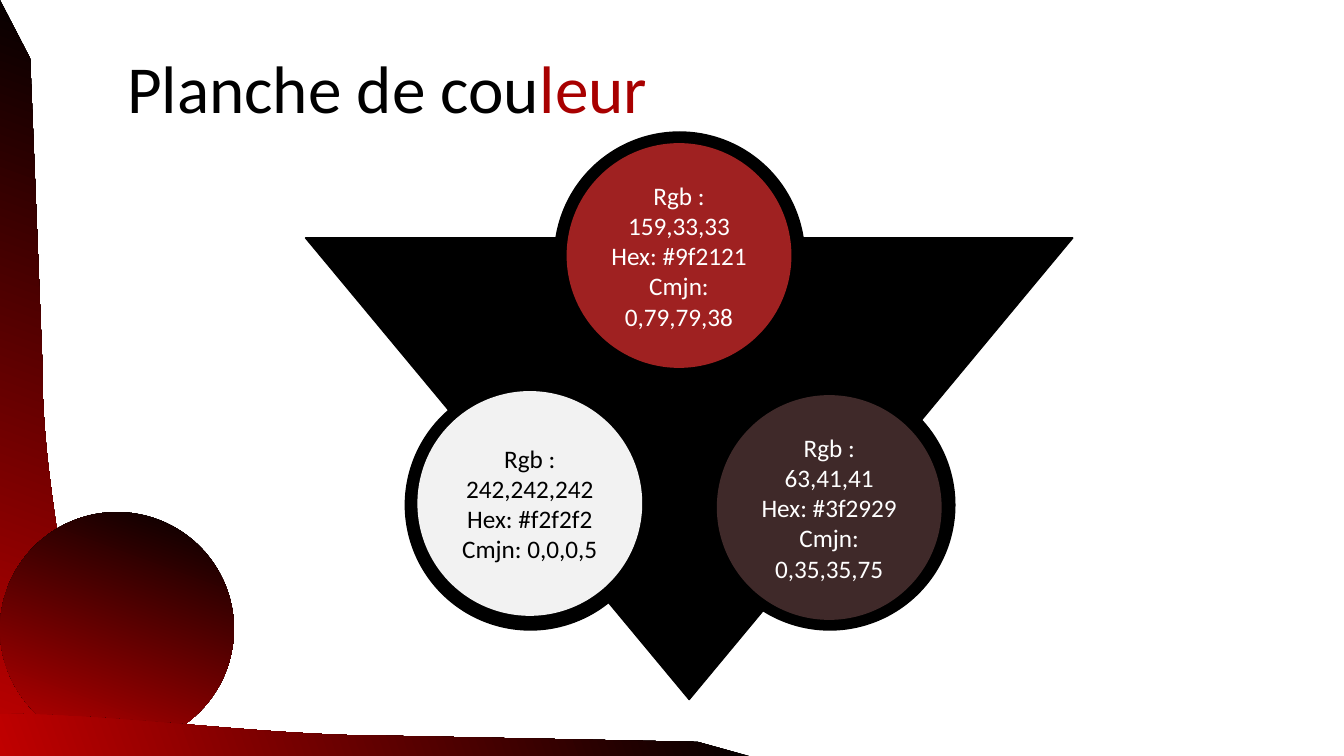
from pptx import Presentation
from pptx.dml.color import RGBColor
from pptx.enum.shapes import MSO_SHAPE
from pptx.enum.text import MSO_ANCHOR, MSO_AUTO_SIZE, PP_ALIGN
from pptx.util import Inches, Pt


def color(hex_value):
    return RGBColor.from_string(hex_value)


def curve(start, control_1, control_2, end, steps=24):
    """Points of a cubic curve, without its start."""
    points = []
    for step in range(1, steps + 1):
        t = step / steps
        weights = ((1 - t) ** 3, 3 * t * (1 - t) ** 2, 3 * t * t * (1 - t), t ** 3)
        corners = (start, control_1, control_2, end)
        points.append(tuple(sum(w * c[axis] for w, c in zip(weights, corners))
                            for axis in (0, 1)))
    return points


class Board:
    font = "Calibri"
    black, red, title_red = "000000", "C00000", "A80000"

    def __init__(self, slide):
        self.slide = slide

    def title(self, left, top, width, height, parts):
        heading = self.slide.shapes.title
        heading.left, heading.top = Inches(left), Inches(top)
        heading.width, heading.height = Inches(width), Inches(height)
        frame = heading.text_frame
        frame.word_wrap = False
        frame.auto_size = MSO_AUTO_SIZE.SHAPE_TO_FIT_TEXT
        frame.vertical_anchor = MSO_ANCHOR.TOP
        paragraph = frame.paragraphs[0]
        paragraph.alignment = PP_ALIGN.LEFT
        paragraph.line_spacing = 1.0
        paragraph.font.name, paragraph.font.size = self.font, Pt(48)
        for text, tint in parts:
            run = paragraph.add_run()
            run.text = text
            run.font.color.rgb = color(tint)

    def gradient(self, shape, angle):
        """Black to red, with the angle measured clockwise."""
        shape.shadow.inherit = False
        shape.line.fill.background()
        shape.fill.gradient()
        shape.fill.gradient_angle = 360 - angle
        for stop, tint in zip(shape.fill.gradient_stops, (self.black, self.red)):
            stop.color.rgb = color(tint)

    def ribbon(self, points, angle):
        start, *others = [(Inches(x), Inches(y)) for x, y in points]
        builder = self.slide.shapes.build_freeform(*start)
        builder.add_line_segments(others, close=True)
        self.gradient(builder.convert_to_shape(), angle)

    def shape(self, kind, left, top, width, height, fill, line=None):
        item = self.slide.shapes.add_shape(
            kind, Inches(left), Inches(top), Inches(width), Inches(height))
        item.shadow.inherit = False
        item.fill.solid()
        item.fill.fore_color.rgb = color(fill)
        if line:
            item.line.color.rgb = color(line)
            item.line.width = Pt(1)
        else:
            item.line.fill.background()
        return item

    def circle(self, left, top, size, fill, line=None):
        return self.shape(MSO_SHAPE.OVAL, left, top, size, size, fill, line)

    def swatch(self, left, top, fill, text_color, codes):
        frame = self.circle(left, top, 2.23, fill).text_frame
        frame.word_wrap = True
        frame.vertical_anchor = MSO_ANCHOR.MIDDLE
        frame.text = "\n".join(codes)
        for paragraph in frame.paragraphs:
            paragraph.alignment = PP_ALIGN.CENTER
            paragraph.font.name, paragraph.font.size = self.font, Pt(18)
            paragraph.font.color.rgb = color(text_color)


presentation = Presentation()
presentation.slide_width, presentation.slide_height = Inches(13.33), Inches(7.5)
board = Board(presentation.slides.add_slide(presentation.slide_layouts[5]))

# Gradient decoration on the left and bottom edges
board.ribbon([(0, 0), (0.3, 0.58), (0.42, 3.6),
              *curve((0.42, 3.6), (0.41, 4.95), (0.81, 6.19), (0.81, 7.5)),
              (0, 7.5)], angle=110)
board.gradient(board.circle(0, 5.08, 2.32, Board.black), angle=110)
board.ribbon([(7.5, 7.52), (6.92, 7.36), (3.9, 7.3),
              *curve((3.9, 7.3), (2.55, 7.3), (1.31, 7.09), (0, 7.08)),
              (0, 7.52)], angle=160)

# Title
board.title(1.16, 0.41, 5.68, 0.91,
            [("Planche de cou", Board.black), ("leur", Board.title_red)])

# Inverted triangle and the rims of the swatches
triangle = board.shape(MSO_SHAPE.ISOSCELES_TRIANGLE, 3.03, 2.36, 7.61, 4.58,
                       Board.black, Board.black)
triangle.rotation = 180
for rim_left, rim_top in ((4.02, 3.77), (6.99, 3.77), (5.5, 1.31)):
    board.circle(rim_left, rim_top, 2.48, Board.black, Board.black)

# Colour swatches with their codes
swatches = [
    (5.62, 1.42, "9F2121", "FFFFFF", "159,33,33", "0,79,79,38"),
    (4.14, 3.88, "F2F2F2", "000000", "242,242,242", "0,0,0,5"),
    (7.11, 3.92, "3F2929", "FFFFFF", "63,41,41", "0,35,35,75"),
]
for left, top, fill, text_color, rgb, cmjn in swatches:
    board.swatch(left, top, fill, text_color,
                 [f"Rgb : {rgb}", f"Hex: #{fill.lower()}", f"Cmjn: {cmjn}"])

presentation.save("out.pptx")
